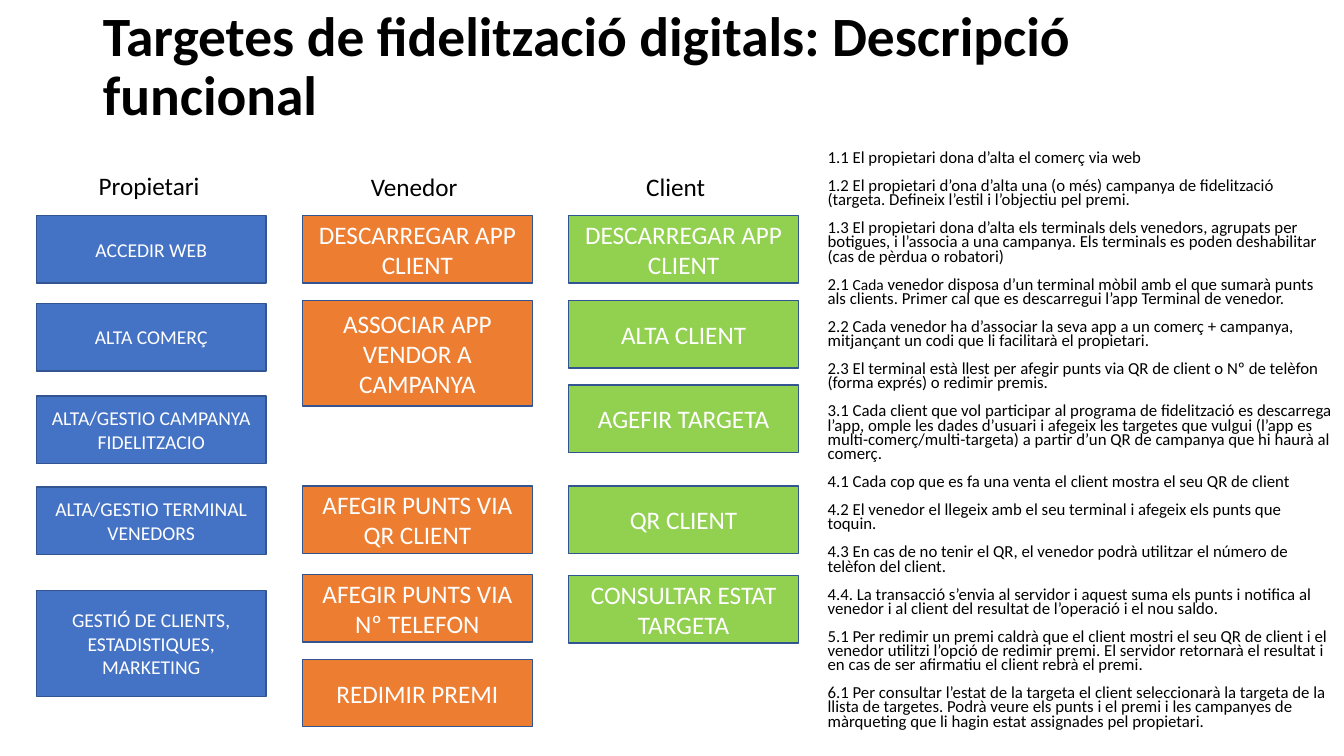
"""Build the functional description slide for digital loyalty cards."""
from typing import NamedTuple

from pptx import Presentation
from pptx.dml.color import RGBColor
from pptx.enum.shapes import MSO_SHAPE
from pptx.enum.text import MSO_ANCHOR, MSO_AUTO_SIZE, PP_ALIGN
from pptx.util import Inches, Pt

RECT = MSO_SHAPE.RECTANGLE
MIDDLE = MSO_ANCHOR.MIDDLE
FIXED = MSO_AUTO_SIZE.NONE
LEFT, CENTER = PP_ALIGN.LEFT, PP_ALIGN.CENTER

BLACK = RGBColor(0x00, 0x00, 0x00)
WHITE = RGBColor(0xFF, 0xFF, 0xFF)
BLUE = RGBColor(0x44, 0x72, 0xC4)
ORANGE = RGBColor(0xED, 0x7D, 0x31)
GREEN = RGBColor(0x92, 0xD0, 0x50)
EDGE = RGBColor(0x32, 0x54, 0x91)
FACE = "Calibri"
WIDE, LOW, TALL = 2.28, 0.67, 1.05


class Step(NamedTuple):
    text: str
    top: float
    high: float = LOW


class Role(NamedTuple):
    name: str
    head: tuple[float, float]
    left: float
    fill: RGBColor
    size: int
    steps: tuple[Step, ...]


ROLES = (
    Role("Propietari", (0.88, 1.64), 0.36, BLUE, 14, (
        Step("ACCEDIR WEB", 2.14),
        Step("ALTA COMERÇ", 3.01),
        Step("ALTA/GESTIO CAMPANYA FIDELITZACIO", 3.93),
        Step("ALTA/GESTIO TERMINAL VENEDORS", 4.83),
        Step("GESTIÓ DE CLIENTS, ESTADISTIQUES, MARKETING", 5.86, TALL),
    )),
    Role("Venedor", (3.58, 1.65), 3, ORANGE, 18, (
        Step("DESCARREGAR APP\nCLIENT", 2.14),
        Step("ASSOCIAR APP VENDOR A CAMPANYA", 2.98, TALL),
        Step("AFEGIR PUNTS VIA QR CLIENT", 4.82),
        Step("AFEGIR PUNTS VIA Nº TELEFON", 5.7),
        Step("REDIMIR PREMI", 6.54),
    )),
    Role("Client", (6.31, 1.65), 5.64, GREEN, 18, (
        Step("DESCARREGAR APP\nCLIENT", 2.14),
        Step("ALTA CLIENT", 2.98),
        Step("AGEFIR TARGETA", 3.82),
        Step("QR CLIENT", 4.82),
        Step("CONSULTAR ESTAT TARGETA", 5.71),
    )),
)

SMALL = "Cada"
NOTES = (
    ("1.1 El propietari dona d’alta el comerç via web",),
    ("1.2 El propietari d’ona d’alta una (o més) campanya de fidelització "
     "(targeta. Defineix l’estil i l’objectiu pel premi.",),
    ("1.3 El propietari dona d’alta els terminals dels venedors, agrupats per "
     "botigues, i l’associa a una campanya. Els terminals es poden deshabilitar "
     "(cas de pèrdua o robatori)",),
    ("2.1 ", SMALL, " venedor disposa d’un terminal mòbil amb el que sumarà punts "
     "als clients. Primer cal que es descarregui l’app Terminal de venedor."),
    ("2.2 Cada venedor ha d’associar la seva app a un comerç + campanya, "
     "mitjançant un codi que li facilitarà el propietari.",),
    ("2.3 El terminal està llest per afegir punts via QR de client o Nº de telèfon "
     "(forma exprés) o redimir premis.",),
    ("3.1 Cada client que vol participar al programa de fidelització es descarrega "
     "l’app, omple les dades d’usuari i afegeix les targetes que vulgui (l’app es "
     "multi-comerç/multi-targeta) a partir d’un QR de campanya que hi haurà al "
     "comerç.",),
    ("4.1 Cada cop que es fa una venta el client mostra el seu QR de client",),
    ("4.2 El venedor el llegeix amb el seu terminal i afegeix els punts que "
     "toquin.",),
    ("4.3 En cas de no tenir el QR, el venedor podrà utilitzar el número de "
     "telèfon del client.",),
    ("4.4. La transacció s’envia al servidor i aquest suma els punts i notifica al "
     "venedor i al client del resultat de l’operació i el nou saldo.",),
    ("5.1 Per redimir un premi caldrà que el client mostri el seu QR de client i el "
     "venedor utilitzi l’opció de redimir premi. El servidor retornarà el resultat i "
     "en cas de ser afirmatiu el client rebrà el premi.",),
    ("6.1 Per consultar l’estat de la targeta el client seleccionarà la targeta de la "
     "llista de targetes. Podrà veure els punts i el premi i les campanyes de "
     "màrqueting que li hagin estat assignades pel propietari.",),
)


def style(par, size: float, color: RGBColor, align=LEFT) -> None:
    """Set the font and alignment of one paragraph."""
    par.alignment = align
    par.font.name = FACE
    par.font.size = Pt(size)
    par.font.color.rgb = color


def add_title(slide) -> None:
    """Place and format the title."""
    title = slide.shapes.title
    title.left, title.top = Inches(0.92), Inches(0.4)
    title.width, title.height = Inches(11.8), Inches(0.55)
    frame = title.text_frame
    frame.text = "Targetes de fidelització digitals: Descripció funcional"
    frame.auto_size = FIXED
    frame.vertical_anchor = MIDDLE
    par = frame.paragraphs[0]
    style(par, 39.6, BLACK)
    par.font.bold = True
    par.line_spacing = 0.9


def add_frame(slide, left: float, top: float, width: float, high: float):
    """Add a wrapping text box and return its text frame."""
    box = slide.shapes.add_textbox(
        Inches(left), Inches(top), Inches(width), Inches(high))
    box.text_frame.word_wrap = True
    return box.text_frame


def add_step(slide, role: Role, step: Step) -> None:
    """Draw one step box of a role."""
    box = slide.shapes.add_shape(
        RECT, Inches(role.left), Inches(step.top), Inches(WIDE), Inches(step.high))
    box.shadow.inherit = False
    box.fill.solid()
    box.fill.fore_color.rgb = role.fill
    box.line.color.rgb = EDGE
    box.line.width = Pt(1)
    frame = box.text_frame
    frame.text = step.text
    frame.word_wrap = True
    frame.vertical_anchor = MIDDLE
    for par in frame.paragraphs:
        style(par, role.size, WHITE, CENTER)


def add_role(slide, role: Role) -> None:
    """Draw the heading and the steps of a role."""
    frame = add_frame(slide, *role.head, 1.68, 0.4)
    frame.text = role.name
    style(frame.paragraphs[0], 18, BLACK)
    for step in role.steps:
        add_step(slide, role, step)


def add_notes(slide) -> None:
    """Write the numbered description at the right."""
    frame = add_frame(slide, 8.11, 1.46, 5.22, 5.88)
    for rank, parts in enumerate(NOTES):
        par = frame.add_paragraph() if rank else frame.paragraphs[0]
        style(par, 12, BLACK)
        par.line_spacing = 0.7
        par.space_before = Pt(10 if rank else 0)
        for part in parts:
            run = par.add_run()
            run.text = part
            if part == SMALL:
                run.font.size = Pt(11)


def main() -> None:
    """Build and save the slide."""
    deck = Presentation()
    deck.slide_width, deck.slide_height = Inches(13.33), Inches(7.5)
    slide = deck.slides.add_slide(deck.slide_layouts[5])
    add_title(slide)
    for role in ROLES:
        add_role(slide, role)
    add_notes(slide)
    deck.save("out.pptx")


if __name__ == "__main__":
    main()
